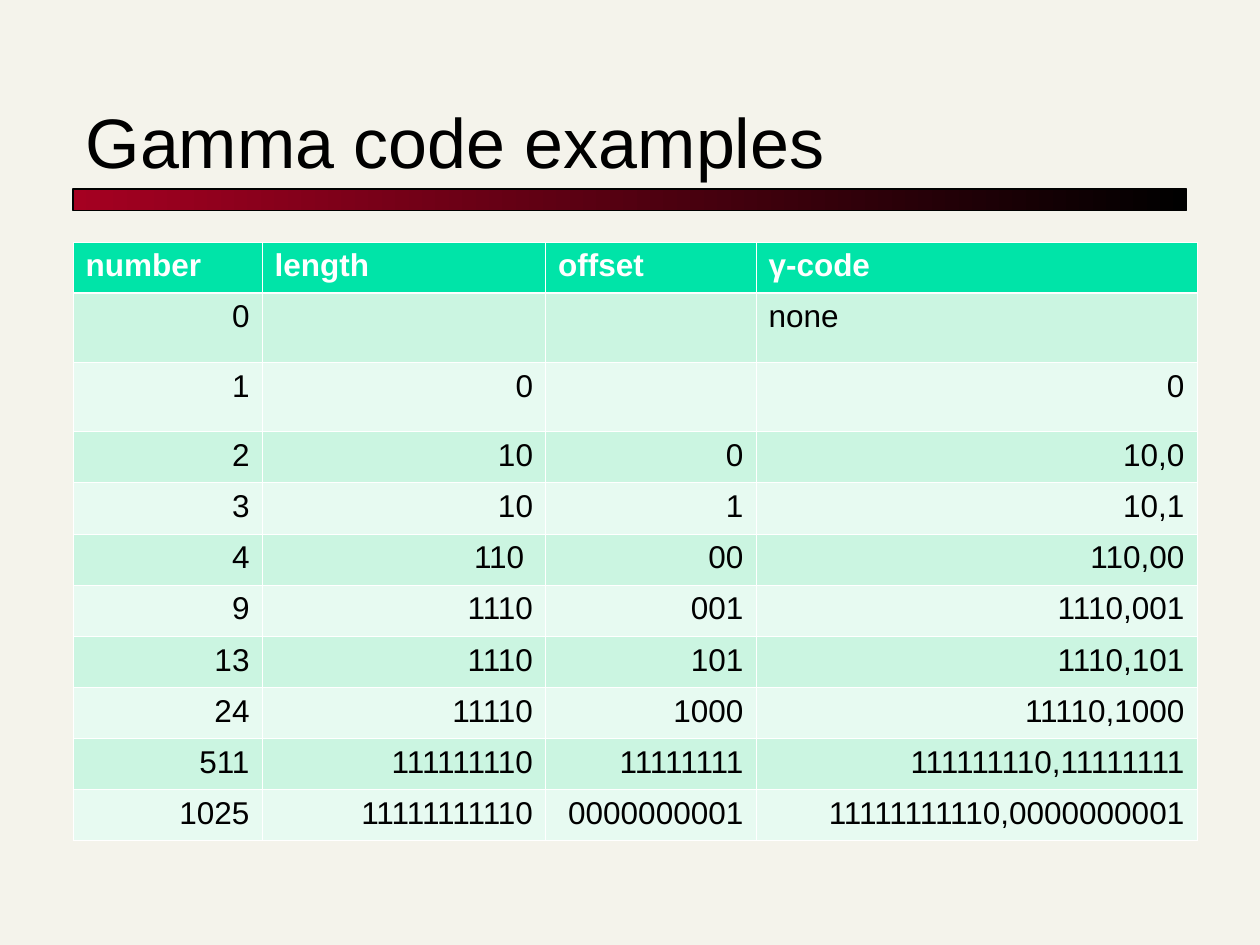
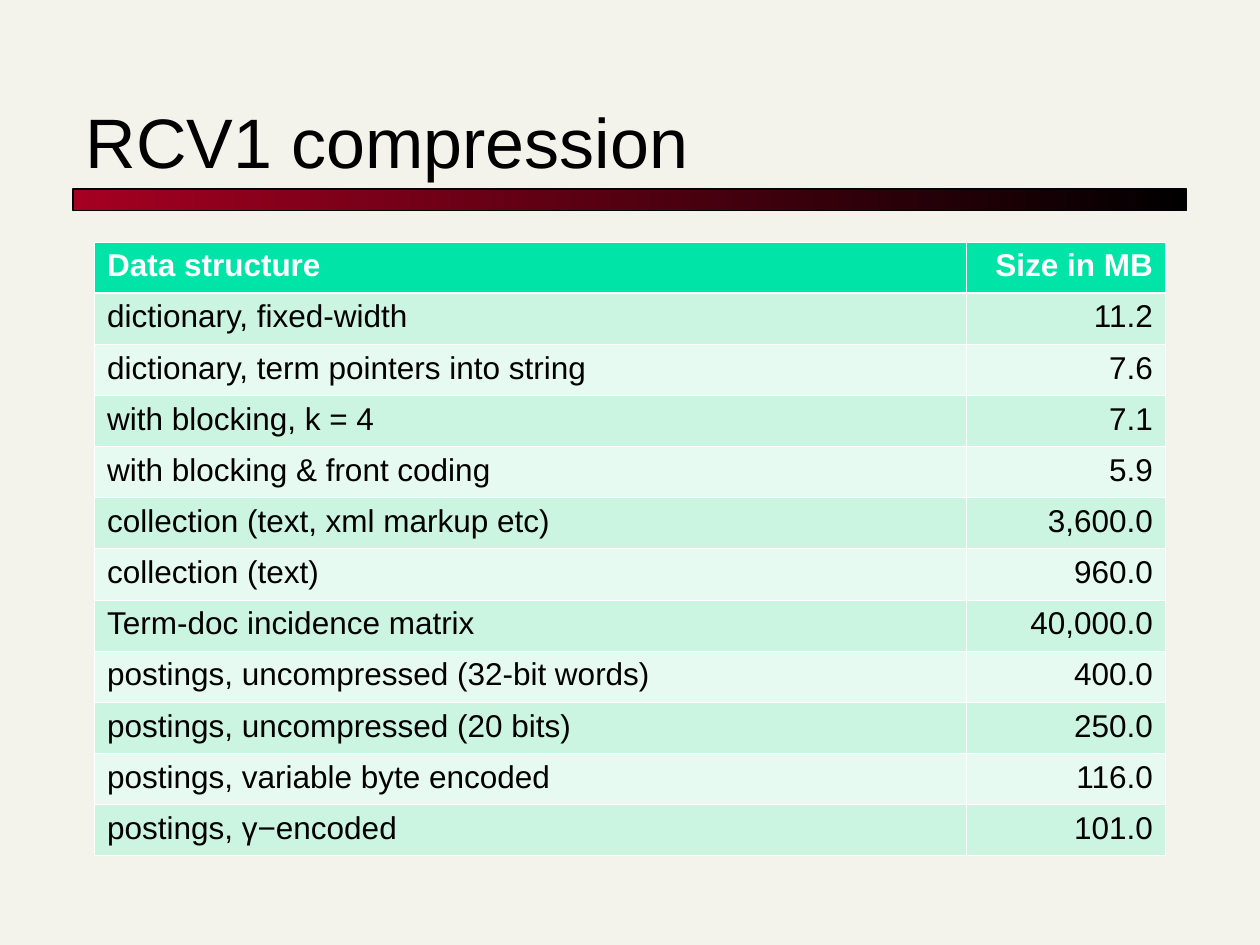
import pptx
import pptx.dml.color
import pptx.enum.shapes
import pptx.enum.text
import pptx.oxml.ns
import pptx.util
from lxml import etree

Inches = pptx.util.Inches
Pt = pptx.util.Pt
ALIGN = pptx.enum.text.PP_ALIGN

COLORS = {
    "background": "F4F3EB",
    "band_start": "A50021",
    "black": "000000",
    "white": "FFFFFF",
    "header": "00E4A8",
    "odd_row": "CBF5E1",
    "even_row": "E7FAF1",
}
FONT = "Arial"
TITLE_ONLY = 5
LEFT = 0.58
TABLE_TOP = 1.92
ROW_HEIGHT = 3.25 / 8
TALL_ROW_HEIGHT = 0.55
THIN, THICK = 0.45, 1.47

GAMMA_ROWS = [
    ("number", "length", "offset", "γ-code"),
    ("0", "", "", "none"),
    ("1", "0", "", "0"),
    ("2", "10", "0", "10,0"),
    ("3", "10", "1", "10,1"),
    ("4", "110 ", "00", "110,00"),
    ("9", "1110", "001", "1110,001"),
    ("13", "1110", "101", "1110,101"),
    ("24", "11110", "1000", "11110,1000"),
    ("511", "111111110", "11111111", "111111110,11111111"),
    ("1025", "11111111110", "0000000001", "11111111110,0000000001"),
]

COMPRESSION_ROWS = [
    ("Data structure", "Size in MB"),
    ("dictionary, fixed-width", "11.2"),
    ("dictionary, term pointers into string", "7.6"),
    ("with blocking, k = 4", "7.1"),
    ("with blocking & front coding", "5.9"),
    ("collection (text, xml markup etc)", "3,600.0"),
    ("collection (text)", "960.0"),
    ("Term-doc incidence matrix", "40,000.0"),
    ("postings, uncompressed (32-bit words)", "400.0"),
    ("postings, uncompressed (20 bits)", "250.0"),
    ("postings, variable byte encoded", "116.0"),
    ("postings, γ−encoded", "101.0"),
]


def rgb(name):
    return pptx.dml.color.RGBColor.from_string(COLORS[name])


def write_text(frame, text, size=18, color="black", bold=False, align=ALIGN.LEFT):
    para = frame.paragraphs[0]
    para.alignment = align
    span = para.add_run()
    span.text = text
    span.font.name = FONT
    span.font.size = Pt(size)
    span.font.bold = bold
    span.font.color.rgb = rgb(color)


def add_band(page):
    band = page.shapes.add_shape(
        pptx.enum.shapes.MSO_SHAPE.RECTANGLE,
        Inches(LEFT), Inches(1.5), Inches(8.84), Inches(0.17))
    band.shadow.inherit = False
    band.fill.gradient()
    band.fill.gradient_angle = 0
    for stop, position, color in zip(
            band.fill.gradient_stops, (0, 1), ("band_start", "black")):
        stop.position = position
        stop.color.rgb = rgb(color)
    band.line.color.rgb = rgb("black")
    band.line.width = Pt(0.75)


def add_page(deck, title):
    page = deck.slides.add_slide(deck.slide_layouts[TITLE_ONLY])
    box = page.shapes.title
    box.left, box.top = Inches(LEFT), Inches(0.42)
    box.width, box.height = Inches(8.83), Inches(1.08)
    box.text_frame.vertical_anchor = pptx.enum.text.MSO_ANCHOR.BOTTOM
    write_text(box.text_frame, title, size=40)
    add_band(page)
    return page


def set_borders(cell, top, bottom):
    qn = pptx.oxml.ns.qn
    properties = cell._tc.get_or_add_tcPr()
    for side, width in (("L", THIN), ("R", THIN), ("T", top), ("B", bottom)):
        line = etree.SubElement(properties, qn(f"a:ln{side}"), w=str(int(Pt(width))))
        fill = etree.SubElement(line, qn("a:solidFill"))
        etree.SubElement(fill, qn("a:srgbClr"), val=COLORS["white"])


def format_cell(cell, row):
    set_borders(cell, THICK if row == 1 else THIN, THICK if row == 0 else THIN)
    cell.fill.solid()
    if row == 0:
        cell.fill.fore_color.rgb = rgb("header")
    else:
        cell.fill.fore_color.rgb = rgb("odd_row" if row % 2 else "even_row")


def add_data_table(page, rows, left, widths, header_aligns):
    heights = [ROW_HEIGHT if all(texts) else TALL_ROW_HEIGHT for texts in rows]
    table = page.shapes.add_table(
        len(rows), len(widths), Inches(left), Inches(TABLE_TOP),
        Inches(sum(widths)), Inches(sum(heights))).table
    for column, width in zip(table.columns, widths):
        column.width = Inches(width)
    for row, texts in enumerate(rows):
        table.rows[row].height = Inches(heights[row])
        for column, text in enumerate(texts):
            cell = table.cell(row, column)
            format_cell(cell, row)
            if row == 0:
                write_text(cell.text_frame, text, color="white", bold=True,
                           align=header_aligns[column])
            elif text:
                align = ALIGN.RIGHT if text[0].isdigit() else ALIGN.LEFT
                write_text(cell.text_frame, text, align=align)


def main():
    deck = pptx.Presentation()
    deck.slide_width, deck.slide_height = Inches(10), Inches(7.5)
    background = deck.slide_master.background.fill
    background.solid()
    background.fore_color.rgb = rgb("background")

    page = add_page(deck, "Gamma code examples")
    add_data_table(page, GAMMA_ROWS, LEFT, (1.5, 2.25, 1.67, 3.5), [ALIGN.LEFT] * 4)

    page = add_page(deck, "RCV1 compression")
    add_data_table(page, COMPRESSION_ROWS, 0.75, (6.92, 1.58),
                   [ALIGN.LEFT, ALIGN.RIGHT])

    deck.save("out.pptx")


if __name__ == "__main__":
    main()
